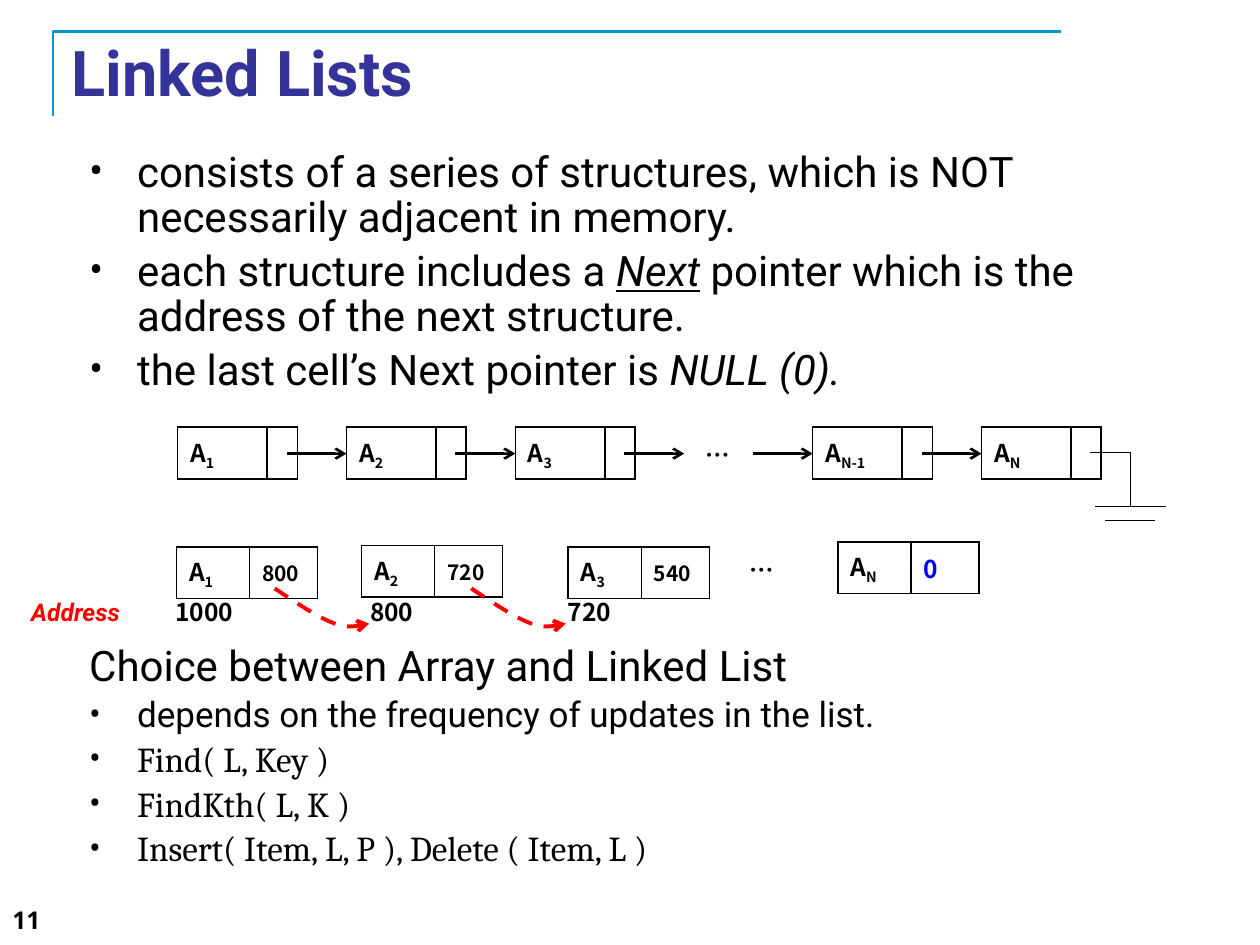
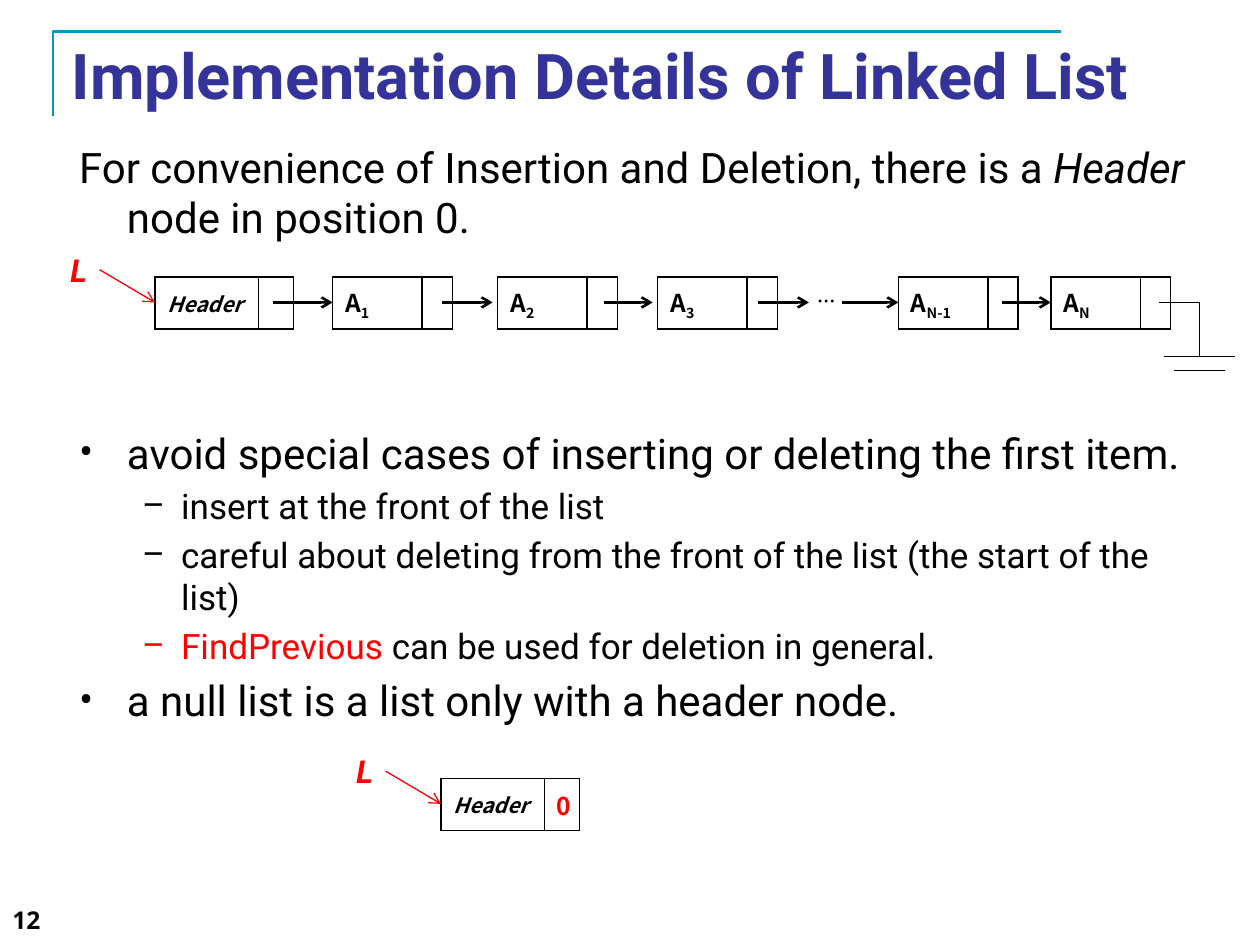
import pptx
import pptx.util
import pptx.dml.color
import pptx.enum.dml
import pptx.enum.shapes
import pptx.enum.text
import pptx.oxml.ns
import lxml.etree

Inches = pptx.util.Inches
Pt = pptx.util.Pt
qn = pptx.oxml.ns.qn
color = pptx.dml.color.RGBColor.from_string

BLACK, WHITE, RED, BLUE = "000000", "FFFFFF", "FF0000", "0000FF"
TITLE_COLOR, FRAME_COLOR = "333399", "0099CC"
TEXT_FONT, NODE_FONT, CODE_FONT, NUMBER_FONT = "Roboto", "Noto Sans CJK KR", "Cambria", "Open Sans"


def write(paragraph, runs, size, font=TEXT_FONT, text_color=BLACK, bold=False, italic=False):
    paragraph.font.size = Pt(size)
    paragraph.font.name = font
    paragraph.font.bold = bold
    paragraph.font.italic = italic
    paragraph.font.color.rgb = color(text_color)
    for text, style in runs:
        run = paragraph.add_run()
        run.text = text
        if style in ("italic", "underlined"):
            run.font.italic = True
        if style == "underlined":
            run.font.underline = True
        if style == "subscript":
            run.font._element.set("baseline", "-25000")
        if style == "red":
            run.font.color.rgb = color(RED)


def finish_line(shape, width, line_color, arrow=False):
    shape.line.width = Pt(width)
    shape.line.color.rgb = color(line_color)
    properties = shape.element.spPr
    if arrow:
        lxml.etree.SubElement(properties.find(qn("a:ln")), qn("a:tailEnd"), type="arrow")
    if properties.find(qn("a:effectLst")) is None:
        lxml.etree.SubElement(properties, qn("a:effectLst"))


presentation = pptx.Presentation()
presentation.slide_width = Inches(10)
presentation.slide_height = Inches(7.5)

slides = []
for number, title_text, left, top, width, height in [
    ("11", "Linked Lists", 0.47, 0.31, 9, 0.52),
    ("12", "Implementation Details of Linked List", 0.47, 0.29, 9.41, 0.6),
]:
    slide = presentation.slides.add_slide(presentation.slide_layouts[5])
    slides.append(slide)

    builder = slide.shapes.build_freeform(Inches(0.42), Inches(0.92))
    builder.add_line_segments(
        [(Inches(0.42), Inches(0.25)), (Inches(8.42), Inches(0.25))], close=False)
    frame = builder.convert_to_shape()
    frame.shadow.inherit = False
    frame.fill.background()
    finish_line(frame, 1.5, FRAME_COLOR)

    title = slide.shapes.title
    title.left, title.top = Inches(left), Inches(top)
    title.width, title.height = Inches(width), Inches(height)
    title.text_frame.auto_size = pptx.enum.text.MSO_AUTO_SIZE.NONE
    title.text_frame.vertical_anchor = pptx.enum.text.MSO_ANCHOR.MIDDLE
    paragraph = title.text_frame.paragraphs[0]
    paragraph.alignment = pptx.enum.text.PP_ALIGN.LEFT
    write(paragraph, [(title_text, "")], 36, text_color=TITLE_COLOR, bold=True)

    number_box = slide.shapes.add_textbox(0, Inches(7.13), Inches(2.87), Inches(0.36))
    write(number_box.text_frame.paragraphs[0], [(number, "")], 14, NUMBER_FONT, bold=True)

lists_slide, details_slide = slides

bodies = [
    (lists_slide, 0.61, 1.15, 8.5, 2.1, 0.9, [
        ("•", 24, TEXT_FONT, [("consists of a series of structures, which is NOT "
                               "necessarily adjacent in memory.", "")]),
        ("•", 24, TEXT_FONT, [("each structure includes a ", ""), ("Next", "underlined"),
                              (" pointer which is the address of the next structure.", "")]),
        ("•", 24, TEXT_FONT, [("the last cell’s Next pointer is ", ""), ("NULL (0).", "italic")]),
    ]),
    (lists_slide, 0.61, 5.07, 8.5, 2, 0.9, [
        ("", 24, TEXT_FONT, [("Choice between Array and Linked List", "")]),
        ("•", 20, TEXT_FONT, [("depends on the frequency of updates in the list.", "")]),
        ("•", 20, CODE_FONT, [("Find( L, Key )", "")]),
        ("•", 20, CODE_FONT, [("FindKth( L, K )", "")]),
        ("•", 20, CODE_FONT, [("Insert( Item, L, P ), Delete ( Item, L )", "")]),
    ]),
    (details_slide, 0.53, 1.07, 9, 0.95, 1, [
        ("", 24, TEXT_FONT, [("For convenience of Insertion and Deletion, there is a ", ""),
                             ("Header ", "italic"), ("node in position 0.", "")]),
    ]),
    (details_slide, 0.53, 3.34, 9, 2.5, 1, [
        ("•", 24, TEXT_FONT, [("avoid special cases of inserting or deleting the first item.", "")]),
        ("–", 20, TEXT_FONT, [("insert at the front of the list", "")]),
        ("–", 20, TEXT_FONT, [("careful about deleting from the front of the list "
                               "(the start of the list)", "")]),
        ("–", 20, TEXT_FONT, [("FindPrevious", "red"),
                              (" can be used for deletion in general.", "")]),
        ("•", 24, TEXT_FONT, [("a null list is a list only with a header node.", "")]),
    ]),
]
for slide, left, top, width, height, spacing, items in bodies:
    body = slide.shapes.add_textbox(Inches(left), Inches(top), Inches(width), Inches(height))
    body.text_frame.word_wrap = True
    for index, (bullet, size, font, runs) in enumerate(items):
        paragraph = body.text_frame.paragraphs[0] if index == 0 else body.text_frame.add_paragraph()
        paragraph.line_spacing = spacing
        paragraph.space_before = Pt(size * 0.2)
        margin, hanging = (0.81, 0.31) if bullet == "–" else (0.38, 0.38)
        paragraph.level = 1 if bullet == "–" else 0
        properties = paragraph._p.get_or_add_pPr()
        properties.set("marL", str(Inches(margin)))
        properties.set("indent", str(-Inches(hanging)))
        if bullet:
            lxml.etree.SubElement(properties, qn("a:buFont"), typeface=TEXT_FONT)
            lxml.etree.SubElement(properties, qn("a:buChar"), char=bullet)
        write(paragraph, runs, size, font)

POINTER_NODE, VALUE_NODE, HEADER_NODE = (0.71, 0.24), (0.58, 0.54), (0.82, 0.28)
nodes = []
for slide, top, row in [
    (lists_slide, 3.39, [(1.41, "1"), (2.75, "2"), (4.09, "3"), (6.45, "N-1"), (7.79, "N")]),
    (details_slide, 2.2, [(2.64, "1"), (3.95, "2"), (5.22, "3"), (7.13, "N-1"), (8.34, "N")]),
]:
    for left, subscript in row:
        nodes.append((slide, left, top, POINTER_NODE, subscript, "", 14, BLACK))
nodes += [
    (lists_slide, 1.4, 4.34, VALUE_NODE, "1", "800", 12, BLACK),
    (lists_slide, 2.87, 4.33, VALUE_NODE, "2", "720", 12, BLACK),
    (lists_slide, 4.51, 4.34, VALUE_NODE, "3", "540", 12, BLACK),
    (lists_slide, 6.65, 4.3, VALUE_NODE, "N", "0", 14, BLUE),
    (details_slide, 1.23, 2.2, HEADER_NODE, "", "", 14, BLACK),
    (details_slide, 3.5, 6.18, HEADER_NODE, "", "0", 14, RED),
]
for slide, left, top, widths, subscript, value, value_size, value_color in nodes:
    table = slide.shapes.add_table(
        1, 2, Inches(left), Inches(top), Inches(sum(widths)), Inches(0.41)).table
    table.first_row = table.horz_banding = False
    for column, width in zip(table.columns, widths):
        column.width = Inches(width)
    for cell in table.rows[0].cells:
        properties = cell._tc.get_or_add_tcPr()
        for side in ("a:lnL", "a:lnR", "a:lnT", "a:lnB"):
            border = lxml.etree.SubElement(properties, qn(side), w=str(Pt(1)))
            border_fill = lxml.etree.SubElement(border, qn("a:solidFill"))
            lxml.etree.SubElement(border_fill, qn("a:srgbClr"), val=BLACK)
        cell.fill.solid()
        cell.fill.fore_color.rgb = color(WHITE)
        cell.vertical_anchor = pptx.enum.text.MSO_ANCHOR.MIDDLE
    label, pointer = [cell.text_frame.paragraphs[0] for cell in table.rows[0].cells]
    if subscript:
        table.cell(0, 0).vertical_anchor = pptx.enum.text.MSO_ANCHOR.TOP
        write(label, [("A", ""), (subscript, "subscript")], 14, NODE_FONT, bold=True)
    else:
        write(label, [("Header", "")], 12, NODE_FONT, bold=True, italic=True)
    write(pointer, [(value, "")] if value else [], value_size, NODE_FONT, value_color, bold=True)

labels = [
    (lists_slide, 5.5, 3.44, 0.38, 0.34, "…", 14, NODE_FONT, BLACK),
    (lists_slide, 5.85, 4.36, 0.38, 0.34, "…", 14, NODE_FONT, BLACK),
    (lists_slide, 1.27, 4.69, 0.7, 0.34, "1000", 14, NODE_FONT, BLACK),
    (lists_slide, 2.76, 4.69, 0.7, 0.34, "800", 14, NODE_FONT, BLACK),
    (lists_slide, 4.33, 4.69, 0.7, 0.34, "720", 14, NODE_FONT, BLACK),
    (lists_slide, 0.1, 4.69, 1, 0.34, "Address", 14, TEXT_FONT, RED),
    (details_slide, 6.39, 2.25, 0.34, 0.29, "…", 10.5, NODE_FONT, BLACK),
    (details_slide, 0.46, 1.94, 0.33, 0.4, "L", 18, TEXT_FONT, RED),
    (details_slide, 2.73, 5.92, 0.33, 0.4, "L", 18, TEXT_FONT, RED),
]
for slide, left, top, width, height, text, size, font, text_color in labels:
    label = slide.shapes.add_textbox(Inches(left), Inches(top), Inches(width), Inches(height))
    label.text_frame.word_wrap = False
    paragraph = label.text_frame.paragraphs[0]
    paragraph.alignment = pptx.enum.text.PP_ALIGN.CENTER
    write(paragraph, [(text, "")], size, font, text_color, bold=True, italic=text_color == RED)

arrows = [
    (details_slide, 0.79, 2.14, 1.23, 2.4, 0.75, RED),
    (details_slide, 3.06, 6.12, 3.5, 6.38, 0.75, RED),
]
for slide, y, spans in [
    (lists_slide, 3.6, [(2.28, 2.75), (3.61, 4.09), (4.95, 5.43), (5.98, 6.45), (7.32, 7.79)]),
    (details_slide, 2.4, [(2.17, 2.64), (3.51, 3.91), (4.79, 5.18), (6.02, 6.42),
                          (6.68, 7.13), (7.95, 8.34)]),
]:
    for start, end in spans:
        arrows.append((slide, start, y, end, y, 1.5, BLACK))
for slide, start_x, start_y, end_x, end_y, width, line_color in arrows:
    arrow = slide.shapes.add_connector(
        pptx.enum.shapes.MSO_CONNECTOR.STRAIGHT,
        Inches(start_x), Inches(start_y), Inches(end_x), Inches(end_y))
    finish_line(arrow, width, line_color, arrow=True)

for slide, x, y in [(lists_slide, 8.97, 4.02), (details_slide, 9.52, 2.83)]:
    elbow = slide.shapes.add_connector(
        pptx.enum.shapes.MSO_CONNECTOR.ELBOW,
        Inches(x - 0.32), Inches(y - 0.43), Inches(x), Inches(y))
    adjustments = elbow.element.spPr.find(qn("a:prstGeom")).get_or_add_avLst()
    lxml.etree.SubElement(adjustments, qn("a:gd"), name="adj1", fmla="val 100000")
    finish_line(elbow, 0.75, BLACK)
    for half_width, drop in [(0.28, 0), (0.2, 0.11)]:
        ground = slide.shapes.add_connector(
            pptx.enum.shapes.MSO_CONNECTOR.STRAIGHT,
            Inches(x - half_width), Inches(y + drop), Inches(x + half_width), Inches(y + drop))
        finish_line(ground, 0.75, BLACK)

curves = [
    [(0, 0), (0.18, 0.12), (0.36, 0.24), (0.48, 0.28)],
    [(0.48, 0.28), (0.6, 0.33), (0.72, 0.28), (0.72, 0.28)],
]
STEPS = 10
for left, top in [(2.18, 4.67), (3.74, 4.67)]:
    points = []
    for curve in curves:
        for step in range(1, STEPS + 1):
            t = step / STEPS
            weights = [(1 - t) ** 3, 3 * t * (1 - t) ** 2, 3 * t ** 2 * (1 - t), t ** 3]
            x = sum(weight * point[0] for weight, point in zip(weights, curve))
            y = sum(weight * point[1] for weight, point in zip(weights, curve))
            points.append((Inches(left + x), Inches(top + y)))
    points.append((Inches(left + 0.75), Inches(top + 0.28)))
    builder = lists_slide.shapes.build_freeform(Inches(left), Inches(top))
    builder.add_line_segments(points, close=False)
    jump = builder.convert_to_shape()
    jump.shadow.inherit = False
    jump.fill.background()
    jump.line.dash_style = pptx.enum.dml.MSO_LINE.DASH
    finish_line(jump, 2.25, RED, arrow=True)

presentation.save("out.pptx")
